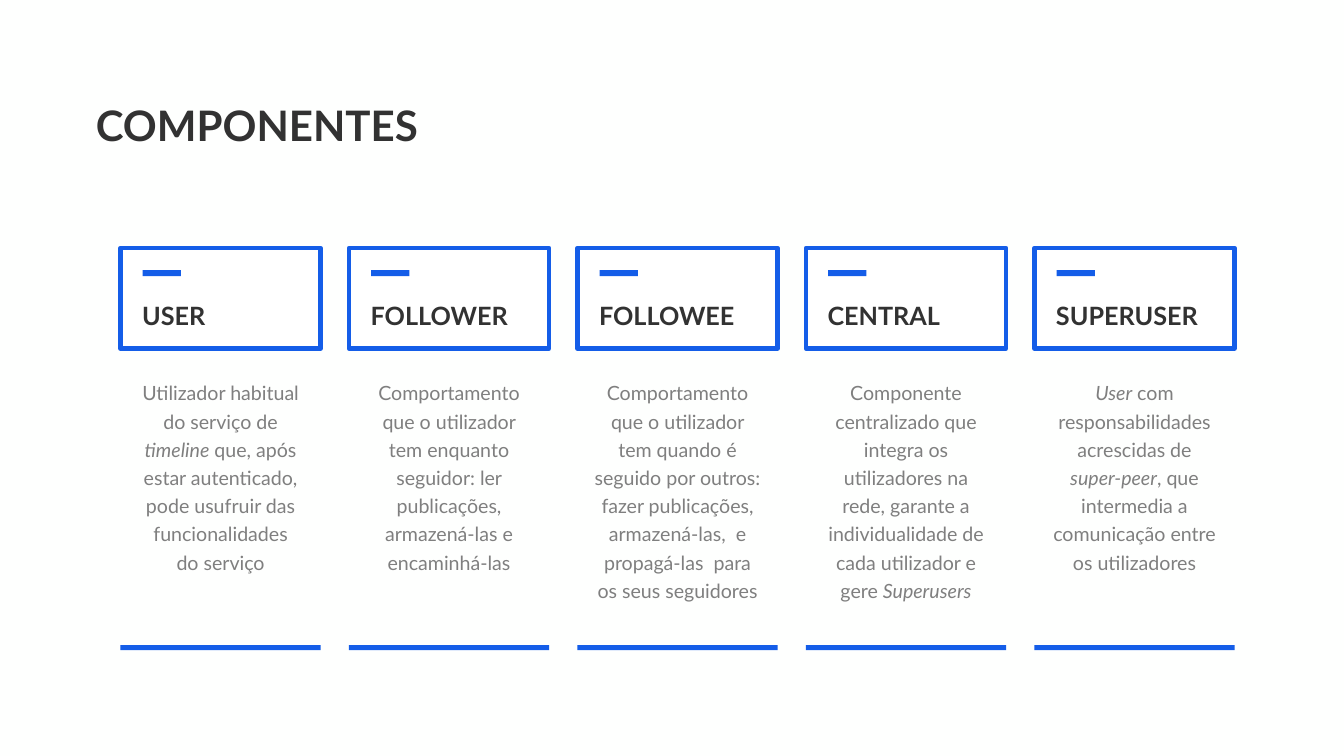
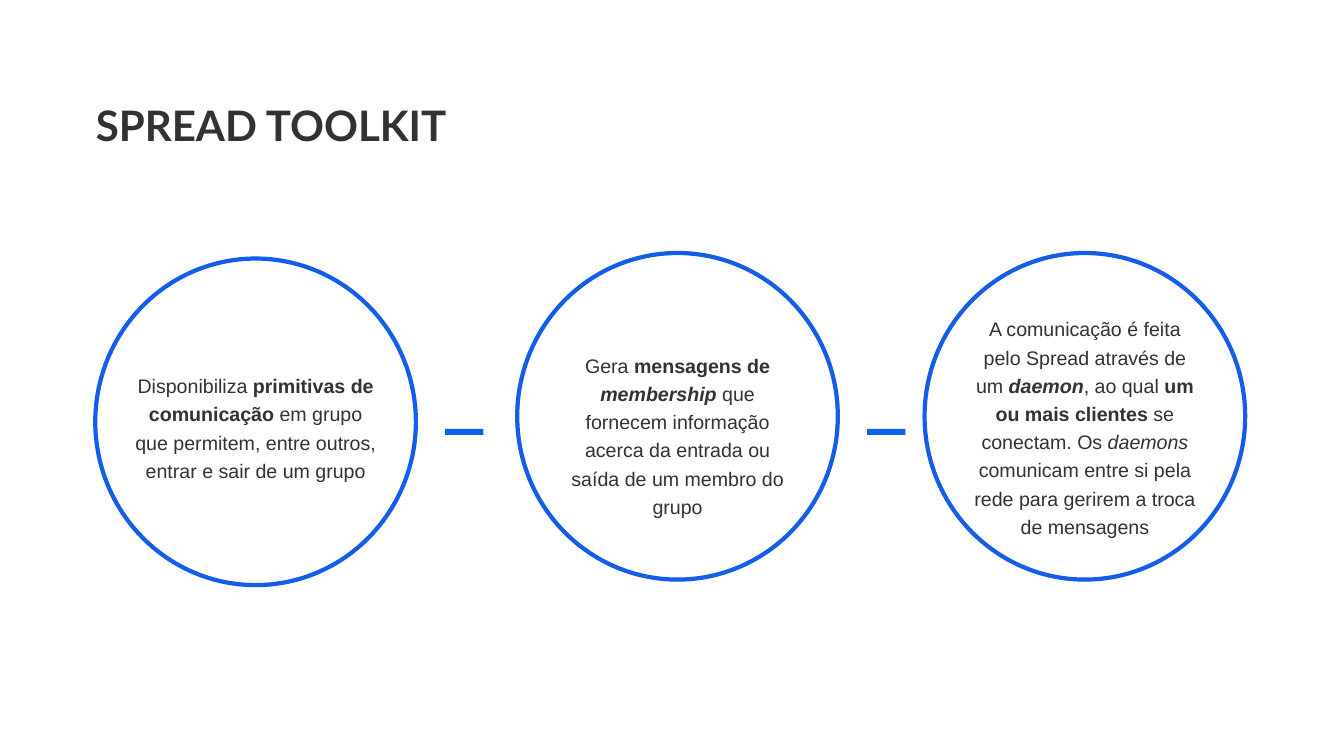
from collections import namedtuple

from pptx import Presentation
from pptx.dml.color import RGBColor
from pptx.enum.shapes import MSO_SHAPE
from pptx.enum.text import MSO_ANCHOR, MSO_AUTO_SIZE, PP_ALIGN
from pptx.util import Inches, Pt

RECT, CIRCLE = MSO_SHAPE.RECTANGLE, MSO_SHAPE.OVAL
LEFT, CENTER = PP_ALIGN.LEFT, PP_ALIGN.CENTER
TOP, NO_FIT = MSO_ANCHOR.TOP, MSO_AUTO_SIZE.NONE
TITLE_ONLY = 5

COLORS = {"page": "FEFFFE", "card": "FFFFFF", "accent": "145DE8",
          "dark": "323232", "gray": "7F7F7F"}

Box = namedtuple("Box", "left top width height")
SLIDE_WIDTH, SLIDE_HEIGHT = 26.66, 15
TITLE_BOX = Box(1.8, 1.93, 0.6 * SLIDE_WIDTH, 1.11)
DASH_WIDTH, DASH_HEIGHT = 0.76, 0.12
OUTLINE = 6

TITLE_STYLE = {"name": "Lato", "size": Pt(60), "bold": True, "color": "dark"}
HEADING_STYLE = {**TITLE_STYLE, "size": Pt(36)}
CARD_STYLE = {"name": "Lato", "size": Pt(28), "color": "gray"}
CIRCLE_STYLE = {"name": "Arial", "size": Pt(28), "color": "dark"}

# In the texts, *...* is italic and _..._ is bold.
CARD_TOP, CARD_WIDTH, CARD_HEIGHT = 4.92, 3.97, 7.98
FIRST_CARD, CARD_PITCH = 2.39, 0.17 * SLIDE_WIDTH
COMPONENTS = [
    ("USER", 3.64, "Utilizador habitual do serviço de *timeline* que, após estar "
     "autenticado, pode usufruir das funcionalidades do serviço"),
    ("FOLLOWER", 3.64, "Comportamento que o utilizador tem enquanto seguidor: ler "
     "publicações, armazená-las e encaminhá-las"),
    ("FOLLOWEE", 3.81, "Comportamento que o utilizador tem quando é seguido por outros: "
     "fazer publicações, armazená-las,  e propagá-las  para os seus seguidores"),
    ("CENTRAL", 3.64, "Componente centralizado que integra os utilizadores na rede, "
     "garante a individualidade de cada utilizador e gere *Superusers*"),
    ("SUPERUSER", 3.81, "*User* com responsabilidades acrescidas de *super-peer*, que "
     "intermedia a comunicação entre os utilizadores"),
]

CIRCLE_WIDTH, CIRCLE_HEIGHT = 6.36, 6.48
# Circle left and top, text offset from the circle's top, text width and height, text
TOOLKIT = [
    (1.89, 5.13, 2.08, 5.26, 2.49,
     "Disponibiliza _primitivas de comunicação_ em grupo que permitem, entre outros, "
     "entrar e sair de um grupo"),
    (10.26, 5.02, 1.78, 5.17, 3.14,
     "Gera _mensagens de *membership*_ que fornecem informação acerca da entrada ou "
     "saída de um membro do grupo"),
    (18.34, 5.02, 1.06, 5.04, 4.2,
     "A comunicação é feita pelo Spread através de um _*daemon*_, ao qual "
     "_um ou mais clientes_ se conectam. Os *daemons* comunicam entre si pela rede "
     "para gerirem a troca de mensagens"),
]
DASH_GAP, DASH_TOP = 0.58, 8.51


def rgb(name):
    return RGBColor.from_string(COLORS[name])


def emu(box):
    return [Inches(length) for length in box]


def add_run(paragraph, text, style):
    run = paragraph.add_run()
    run.text = text
    for attribute, value in style.items():
        if attribute == "color":
            run.font.color.rgb = rgb(value)
        else:
            setattr(run.font, attribute, value)


def fill_frame(frame, text, style, align=LEFT, inset=(0.1, 0.05), spacing=None):
    """Write text with its bold and italic marks into a text frame."""
    side, edge = map(Inches, inset)
    settings = {"word_wrap": True, "auto_size": NO_FIT, "vertical_anchor": TOP,
                "margin_left": side, "margin_right": side,
                "margin_top": edge, "margin_bottom": edge}
    for attribute, value in settings.items():
        setattr(frame, attribute, value)
    paragraph = frame.paragraphs[0]
    paragraph.alignment = align
    paragraph.line_spacing = spacing
    for bold_index, stretch in enumerate(text.split("_")):
        for italic_index, part in enumerate(stretch.split("*")):
            if part:
                marks = {"italic": italic_index % 2 == 1}
                if bold_index % 2:
                    marks["bold"] = True
                add_run(paragraph, part, {**style, **marks})


def add_text(slide, box, text, style, **layout):
    fill_frame(slide.shapes.add_textbox(*emu(box)).text_frame, text, style, **layout)


def add_description(slide, box, text, style):
    add_text(slide, box, text, style, align=CENTER, inset=(0.24, 0.12), spacing=1.2)


def add_figure(slide, kind, box, fill=None, line=None):
    figure = slide.shapes.add_shape(kind, *emu(box))
    figure.shadow.inherit = False
    if fill:
        figure.fill.solid()
        figure.fill.fore_color.rgb = rgb(fill)
    else:
        figure.fill.background()
    if line:
        figure.line.color.rgb = rgb(line)
        figure.line.width = Pt(OUTLINE)
    else:
        figure.line.fill.background()


def add_dash(slide, left, top):
    add_figure(slide, RECT, Box(left, top, DASH_WIDTH, DASH_HEIGHT), fill="accent")


def add_titled_slide(deck, title):
    slide = deck.slides.add_slide(deck.slide_layouts[TITLE_ONLY])
    slide.background.fill.solid()
    slide.background.fill.fore_color.rgb = rgb("page")
    heading = slide.shapes.title
    heading.left, heading.top, heading.width, heading.height = emu(TITLE_BOX)
    fill_frame(heading.text_frame, title, TITLE_STYLE)
    return slide


def add_component(slide, box, name, text_width, description):
    """Draw a framed heading, its description and the rule that closes the column."""
    left, top, width, height = box
    rule = 0.1
    add_figure(slide, RECT, Box(left, top, width, height / 4), "card", "accent")
    add_dash(slide, left + 0.44, top + 0.44)
    add_text(slide, Box(left + 0.33, top + 0.98, width - 0.33, 0.71), name, HEADING_STYLE)
    text_left = left + (width - text_width) / 2
    add_description(slide, Box(text_left, top + 2.43, text_width, 5),
                    description, CARD_STYLE)
    add_figure(slide, RECT, Box(left, top + height - rule, width, rule), fill="accent")


def add_circle(slide, box, text_offset, text_width, text_height, text):
    add_figure(slide, CIRCLE, box, line="accent")
    text_left = box.left + (box.width - text_width) / 2
    add_description(slide, Box(text_left, box.top + text_offset, text_width, text_height),
                    text, CIRCLE_STYLE)


def build_components(deck):
    slide = add_titled_slide(deck, "COMPONENTES")
    for column, component in enumerate(COMPONENTS):
        left = FIRST_CARD + column * CARD_PITCH
        add_component(slide, Box(left, CARD_TOP, CARD_WIDTH, CARD_HEIGHT), *component)


def build_toolkit(deck):
    slide = add_titled_slide(deck, "SPREAD TOOLKIT")
    for left, top, *content in TOOLKIT:
        add_circle(slide, Box(left, top, CIRCLE_WIDTH, CIRCLE_HEIGHT), *content)
    for left, *_ in TOOLKIT[:-1]:
        add_dash(slide, left + CIRCLE_WIDTH + DASH_GAP, DASH_TOP)


def main():
    deck = Presentation()
    deck.slide_width, deck.slide_height = Inches(SLIDE_WIDTH), Inches(SLIDE_HEIGHT)
    build_components(deck)
    build_toolkit(deck)
    deck.save("out.pptx")


if __name__ == "__main__":
    main()
